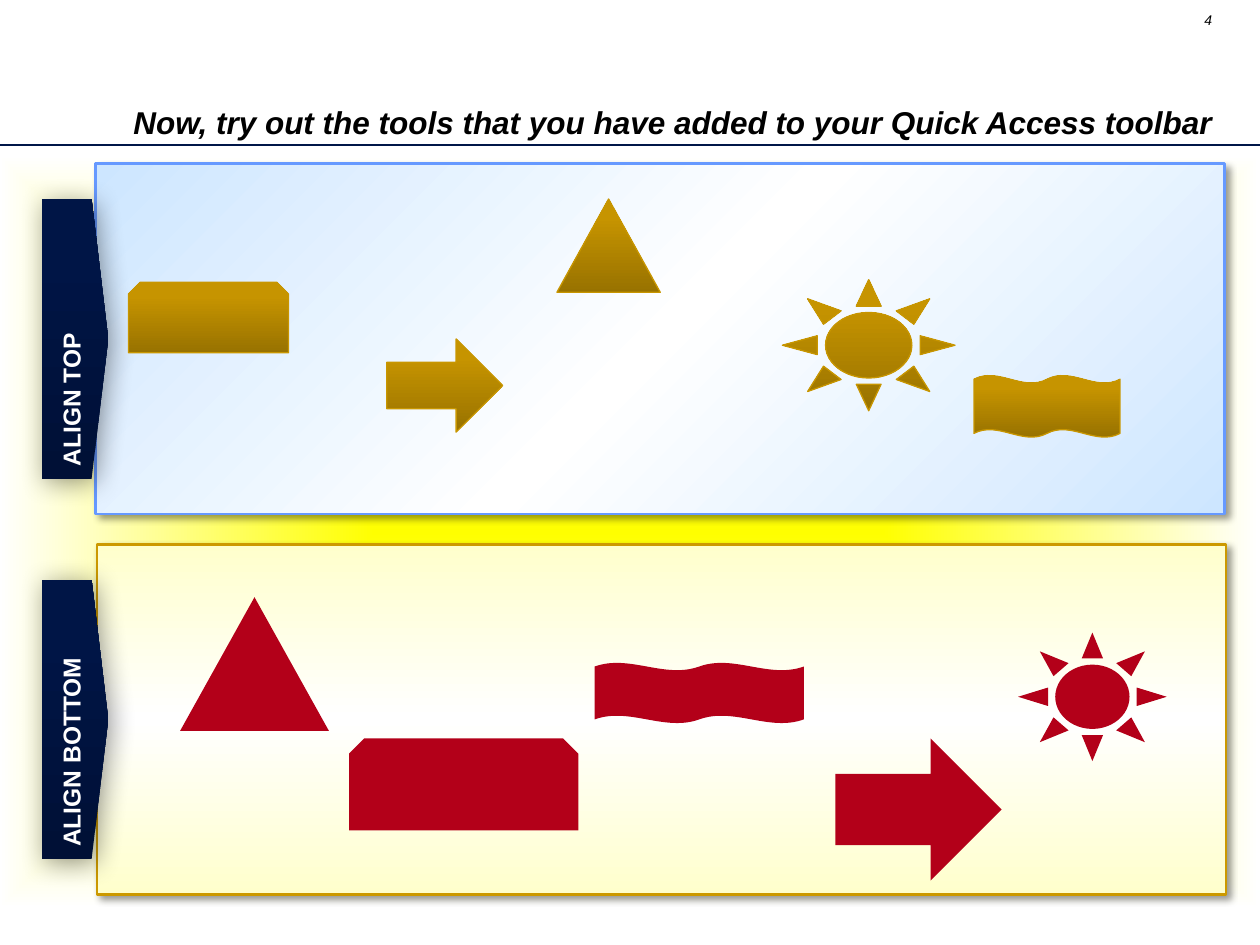
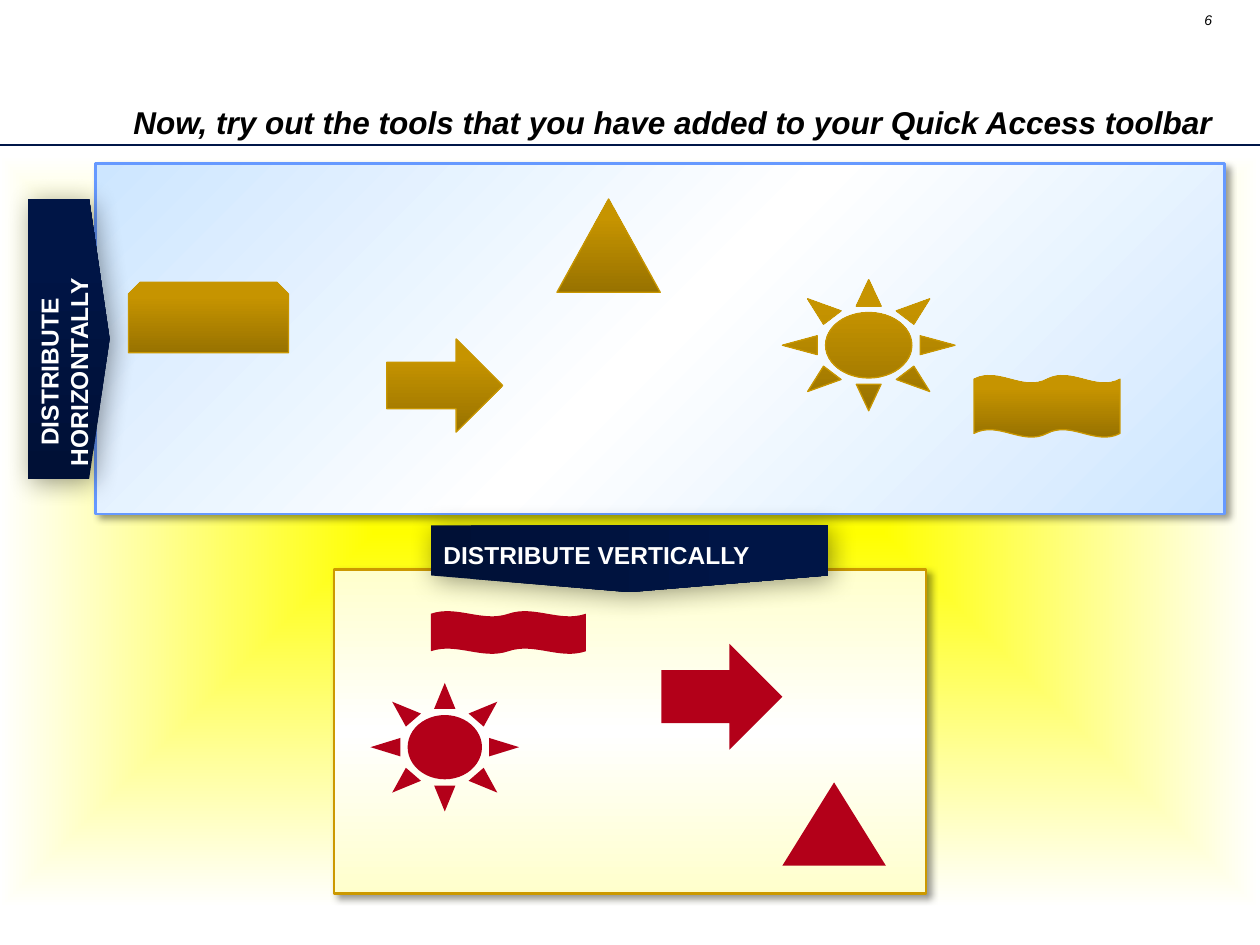
"""Two practice slides for aligning and distributing shapes."""
from dataclasses import dataclass
from typing import Any, NamedTuple, Optional

import pptx
import pptx.dml.color
import pptx.enum.shapes
import pptx.enum.text
import pptx.oxml
import pptx.oxml.ns
import pptx.util

SHAPE = pptx.enum.shapes.MSO_SHAPE
ALIGN = pptx.enum.text.PP_ALIGN
ANCHOR = pptx.enum.text.MSO_ANCHOR
COLS, ROWS = 100, 75
WIDTH, HEIGHT = pptx.util.Inches(10), pptx.util.Inches(7.5)


class Box(NamedTuple):
    """Left, top, width and height in columns and rows of the slide grid."""
    col: float
    row: float
    cols: float
    rows: float


@dataclass(frozen=True)
class Gradient:
    """Colour stops (percent, colour), linear at an angle or, without one, from the centre."""
    stops: tuple
    angle: Optional[int] = None


@dataclass(frozen=True)
class Look:
    """Fill, outline and shadow blur of a shape."""
    fill: Any
    line: Optional[str] = None
    weight: float = 0
    blur: float = 0


@dataclass(frozen=True)
class Theme:
    """Colours, looks and type sizes shared by the slides."""
    font: str = "Arial"
    ink: str = "000000"
    white: str = "FFFFFF"
    rule: str = "001648"
    rule_weight: float = 1.5
    title_size: int = 18
    label_size: int = 14
    number_size: int = 8
    glow: Look = Look(Gradient(((0, "FFFF00"), (100, "FFFFFF"))))
    blue_panel: Look = Look(
        Gradient(((0, "CDE6FF"), (50, "FFFFFF"), (100, "CDE6FF")), 45), "6699FF", 1.5, 4)
    cream_panel: Look = Look(
        Gradient(((0, "FFFFCC"), (50, "FFFFFF"), (100, "FFFFCC")), 90), "CC9900", 1.5, 4)
    tab: Look = Look(
        Gradient(((0, "001036"), (80, "001546"), (100, "001546")), 270), blur=15)
    gold: Look = Look(
        Gradient(((0, "987200"), (80, "C69400"), (100, "C79500")), 270), "C89600", 0.75)
    red: Look = Look("B30019")


THEME = Theme()


class Item(NamedTuple):
    """A preset shape and its place."""
    kind: Any
    box: Box


@dataclass(frozen=True)
class Panel:
    """A framed area with a labelled tab and the shapes to arrange in it."""
    label: str
    box: Box
    tab: Box
    look: Look
    item_look: Look
    items: tuple
    tab_turn: int = 0


def x(cols: float) -> int:
    """Convert grid columns to a length."""
    return round(WIDTH * cols / COLS)


def y(rows: float) -> int:
    """Convert grid rows to a length."""
    return round(HEIGHT * rows / ROWS)


def place(box: Box) -> tuple:
    """Give the four lengths of a box."""
    return x(box.col), y(box.row), x(box.cols), y(box.rows)


def rgb(value: str) -> Any:
    """Make a colour from its hex value."""
    return pptx.dml.color.RGBColor.from_string(value)


def xml(markup: str) -> Any:
    """Parse one drawing element, given without its namespace declaration."""
    head, rest = markup.split(" ", 1)
    return pptx.oxml.parse_xml(f"{head} {pptx.oxml.ns.nsdecls('a')} {rest}")


def paint_gradient(sp: Any, gradient: Gradient) -> None:
    """Fill a shape with a gradient."""
    stops = "".join(f'<a:gs pos="{pos * 1000}"><a:srgbClr val="{color}"/></a:gs>'
                    for pos, color in gradient.stops)
    if gradient.angle is None:
        course = ('<a:path path="shape"><a:fillToRect l="50000" t="50000" '
                  'r="50000" b="50000"/></a:path>')
    else:
        course = f'<a:lin ang="{gradient.angle * 60000}" scaled="0"/>'
    sp.fill.gradient()
    old = sp._element.spPr.find(pptx.oxml.ns.qn("a:gradFill"))
    new = xml(f'<a:gradFill rotWithShape="1"><a:gsLst>{stops}</a:gsLst>{course}</a:gradFill>')
    old.getparent().replace(old, new)


def paint(sp: Any, look: Look) -> None:
    """Apply fill, outline and shadow to a shape."""
    if isinstance(look.fill, Gradient):
        paint_gradient(sp, look.fill)
    else:
        sp.fill.solid()
        sp.fill.fore_color.rgb = rgb(look.fill)
    if look.line:
        sp.line.color.rgb = rgb(look.line)
        sp.line.width = pptx.util.Pt(look.weight)
    else:
        sp.line.fill.background()
    sp.shadow.inherit = False
    if look.blur:
        effects = sp._element.spPr.find(pptx.oxml.ns.qn("a:effectLst"))
        effects.append(xml(
            f'<a:outerShdw blurRad="{pptx.util.Pt(look.blur)}" dist="{pptx.util.Pt(3)}" '
            f'dir="{45 * 60000}" algn="tl" rotWithShape="0"><a:srgbClr val="{THEME.ink}">'
            '<a:alpha val="40000"/></a:srgbClr></a:outerShdw>'))


def add_shape(shapes: Any, item: Item, look: Look) -> Any:
    """Draw a preset shape."""
    sp = shapes.add_shape(item.kind, *place(item.box))
    paint(sp, look)
    return sp


def write(tf: Any, text: str, size: float, color: str, align: Any,
          bold: bool = False, italic: bool = False) -> Any:
    """Write one run into the first paragraph and return the paragraph."""
    p = tf.paragraphs[0]
    p.alignment = align
    r = p.add_run()
    r.text = text
    r.font.name = THEME.font
    r.font.size = pptx.util.Pt(size)
    r.font.bold, r.font.italic = bold, italic
    r.font.color.rgb = rgb(color)
    return p


def add_tab(shapes: Any, panel: Panel) -> None:
    """Draw the pointed tab whose label runs upwards, before any turn of the tab."""
    sp = add_shape(shapes, Item(SHAPE.PENTAGON, panel.tab), THEME.tab)
    sp.adjustments[0] = 0.25
    sp.rotation = panel.tab_turn
    tf = sp.text_frame
    tf.word_wrap = True
    tf.vertical_anchor = ANCHOR.MIDDLE
    write(tf, panel.label, THEME.label_size, THEME.white, ALIGN.CENTER, bold=True)
    body = tf._txBody.bodyPr
    body.set("vert", "eaVert")
    body.set("rot", str(180 * 60000))


def add_panel(slide: Any, panel: Panel) -> None:
    """Draw a panel grouped with its tab, then its shapes."""
    group = slide.shapes.add_group_shape()
    add_shape(group.shapes, Item(SHAPE.RECTANGLE, panel.box), panel.look)
    add_tab(group.shapes, panel)
    for item in panel.items:
        add_shape(slide.shapes, item, panel.item_look)


def add_frame(slide: Any, number: str, title: str) -> None:
    """Draw what every slide has: number, rule, glow and title."""
    tf = slide.shapes.add_textbox(*place(Box(93.8, 0.4, 3.4, 2.3))).text_frame
    tf.word_wrap = False
    write(tf, number, THEME.number_size, THEME.ink, ALIGN.RIGHT, italic=True)

    rule = slide.shapes.add_connector(
        pptx.enum.shapes.MSO_CONNECTOR.STRAIGHT, 0, y(11.5), WIDTH, y(11.5))
    rule.line.color.rgb = rgb(THEME.rule)
    rule.line.width = pptx.util.Pt(THEME.rule_weight)
    rule._element.spPr.append(pptx.oxml.parse_xml(
        f"<a:effectLst {pptx.oxml.ns.nsdecls('a')}/>"))

    add_shape(slide.shapes, Item(SHAPE.RECTANGLE, Box(-0.1, 12.3, 100, 59.8)), THEME.glow)

    tf = slide.shapes.add_textbox(*place(Box(9.6, 5.1, 89.2, 6.6))).text_frame
    tf.word_wrap = True
    tf.vertical_anchor = ANCHOR.BOTTOM
    p = write(tf, title, THEME.title_size, THEME.ink, ALIGN.LEFT, bold=True, italic=True)
    p.line_spacing = 0.9


def top_panel(label: str, tab: Box) -> Panel:
    """Describe the blue panel with gold shapes that heads each slide."""
    return Panel(label, Box(7.6, 13, 89.6, 27.8), tab, THEME.blue_panel, THEME.gold, (
        Item(SHAPE.SNIP_2_SAME_RECTANGLE, Box(10.2, 22.4, 12.7, 5.6)),
        Item(SHAPE.RIGHT_ARROW, Box(30.7, 26.9, 9.2, 7.4)),
        Item(SHAPE.ISOSCELES_TRIANGLE, Box(44.2, 15.8, 8.2, 7.4)),
        Item(SHAPE.SUN, Box(62.1, 22.2, 13.7, 10.4)),
        Item(SHAPE.DOUBLE_WAVE, Box(77.3, 29.8, 11.6, 4.9)),
    ))


ALIGN_BOTTOM = Panel(
    "ALIGN BOTTOM", Box(7.7, 43.2, 89.6, 27.8), Box(3.3, 46, 5.3, 22.2),
    THEME.cream_panel, THEME.red, (
        Item(SHAPE.SNIP_2_SAME_RECTANGLE, Box(27.7, 58.6, 18.2, 7.3)),
        Item(SHAPE.RIGHT_ARROW, Box(66.3, 58.6, 13.2, 11.3)),
        Item(SHAPE.ISOSCELES_TRIANGLE, Box(14.3, 47.4, 11.8, 10.6)),
        Item(SHAPE.SUN, Box(80.8, 50.2, 11.8, 10.2)),
        Item(SHAPE.DOUBLE_WAVE, Box(47.2, 52.6, 16.6, 4.8)),
    ))
DISTRIBUTE_VERTICALLY = Panel(
    "DISTRIBUTE VERTICALLY", Box(26.5, 45.2, 47, 25.7), Box(47.3, 28.6, 5.3, 31.5),
    THEME.cream_panel, THEME.red, (
        Item(SHAPE.RIGHT_ARROW, Box(52.5, 51.1, 9.6, 8.4)),
        Item(SHAPE.ISOSCELES_TRIANGLE, Box(62.1, 62.1, 8.2, 6.6)),
        Item(SHAPE.SUN, Box(29.4, 54.2, 11.8, 10.2)),
        Item(SHAPE.DOUBLE_WAVE, Box(34.2, 48.5, 12.3, 3.4)),
    ), tab_turn=90)

TITLE = "Now, try out the tools that you have added to your Quick Access toolbar"
SLIDES = (
    ("4", (ALIGN_BOTTOM, top_panel("ALIGN TOP", Box(3.3, 15.8, 5.3, 22.2)))),
    ("6", (top_panel("DISTRIBUTE HORIZONTALLY", Box(2.2, 15.8, 6.5, 22.2)),
           DISTRIBUTE_VERTICALLY)),
)


def main() -> None:
    """Build and save the presentation."""
    prs = pptx.Presentation()
    prs.slide_width, prs.slide_height = WIDTH, HEIGHT
    for number, panels in SLIDES:
        slide = prs.slides.add_slide(prs.slide_layouts[6])
        add_frame(slide, number, TITLE)
        for panel in panels:
            add_panel(slide, panel)
    prs.save("out.pptx")


main()
